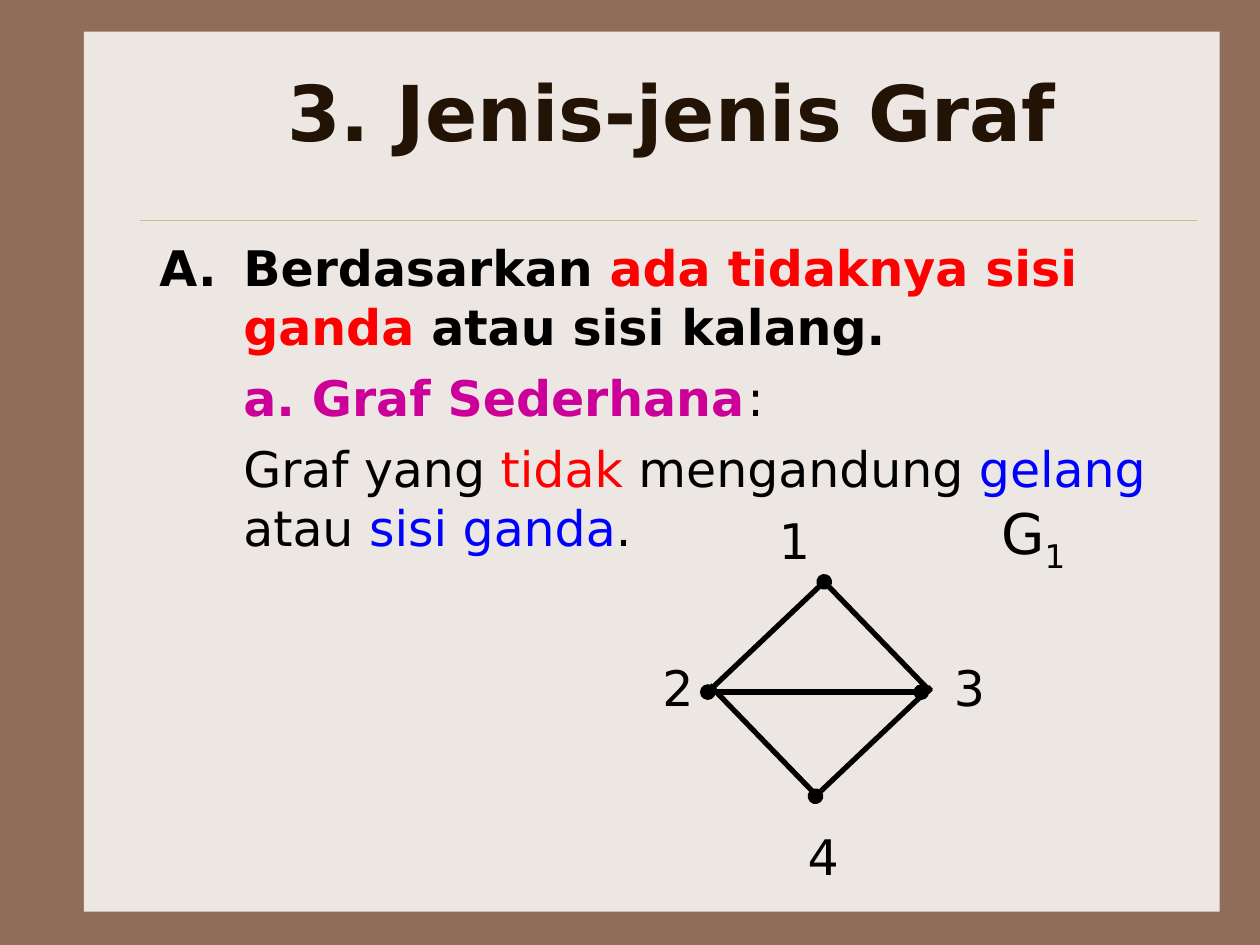
from lxml import etree
from pptx import Presentation
from pptx.dml.color import RGBColor
from pptx.enum.shapes import MSO_CONNECTOR, MSO_SHAPE
from pptx.enum.text import MSO_ANCHOR, MSO_AUTO_SIZE, PP_ALIGN
from pptx.oxml.ns import qn
from pptx.util import Pt

RECTANGLE = MSO_SHAPE.RECTANGLE
STRAIGHT = MSO_CONNECTOR.STRAIGHT
MIDDLE = MSO_ANCHOR.MIDDLE
CENTER = PP_ALIGN.CENTER
GROW = MSO_AUTO_SIZE.SHAPE_TO_FIT_TEXT

FONT = "DejaVu Sans"
BLACK, RED, BLUE, MAGENTA = "000000", "FF0000", "0000FF", "CC0099"
BROWN, PAPER, TITLE_COLOR, RULE_COLOR = "906D58", "EDE7E3", "221304", "CBBD83"

TITLE = "3. Jenis-jenis Graf"
# Runs: text, colour, bold
HEADING = [("Berdasarkan ", BLACK, True), ("ada tidaknya sisi ganda", RED, True),
           (" atau sisi kalang.", BLACK, True)]
SUBHEADING = [("a. Graf Sederhana\t", MAGENTA, True), (":", BLACK, False)]
DEFINITION = [("Graf yang ", BLACK, False), ("tidak", RED, False),
              (" mengandung ", BLACK, False), ("gelang", BLUE, False),
              (" atau ", BLACK, False), ("sisi ganda", BLUE, False),
              (".", BLACK, False)]
BODY_INDENT, COLON_TAB = 48, 288

# Edges: start, end, dot at start, dot at end
EDGES = [
    ((471, 332.5), (404.5, 395.5), False, False),
    ((532, 392.5), (466, 455), False, True),
    ((471, 332.5), (532, 395.5), True, False),
    ((405.5, 391.5), (466.5, 454.5), False, False),
    ((404.5, 395.5), (526.5, 395.5), True, True),
]
# Vertex labels: text, left, top, width
VERTEX_LABELS = [("1", 438, 288, 42), ("2", 371.5, 372, 28),
                 ("3", 538, 372, 33), ("4", 454.5, 468.5, 33)]


def color(hex_code):
    return RGBColor.from_string(hex_code)


def add_run(paragraph, text, size, hex_code=BLACK, bold=False):
    run = paragraph.add_run()
    run.text = text
    run.font.name = FONT
    run.font.size = Pt(size)
    run.font.bold = bold
    run.font.color.rgb = color(hex_code)
    return run


def add_text_box(shapes, left, top, width, height):
    box = shapes.add_textbox(Pt(left), Pt(top), Pt(width), Pt(height))
    box.text_frame.word_wrap = True
    return box.text_frame


def add_line(shapes, start, end, hex_code, width, start_dot=False, end_dot=False):
    line = shapes.add_connector(STRAIGHT, *(Pt(v) for v in (*start, *end)))
    line.line.color.rgb = color(hex_code)
    line.line.width = Pt(width)
    outline = line.line._get_or_add_ln()
    for tag, dotted in (("a:headEnd", start_dot), ("a:tailEnd", end_dot)):
        if dotted:
            etree.SubElement(outline, qn(tag), type="oval")
    etree.SubElement(line._element.spPr, qn("a:effectLst"))


def add_body(shapes):
    frame = add_text_box(shapes, 84, 132, 600, 330)
    for index, runs in enumerate((HEADING, SUBHEADING, DEFINITION)):
        paragraph = frame.add_paragraph() if index else frame.paragraphs[0]
        properties = paragraph._p.get_or_add_pPr()
        properties.set("marL", str(Pt(BODY_INDENT)))
        properties.set("indent", str(0 if index else -Pt(BODY_INDENT)))
        if index:
            paragraph.space_before = Pt(7)
        if runs is HEADING:
            etree.SubElement(properties, qn("a:buFont"), typeface=FONT)
            etree.SubElement(properties, qn("a:buAutoNum"), type="alphaUcPeriod")
        if runs is SUBHEADING:
            tabs = etree.SubElement(properties, qn("a:tabLst"))
            etree.SubElement(tabs, qn("a:tab"), pos=str(Pt(COLON_TAB)), algn="l")
        for text, hex_code, bold in runs:
            add_run(paragraph, text, 28, hex_code, bold)


def add_graph(shapes):
    for start, end, start_dot, end_dot in EDGES:
        add_line(shapes, start, end, BLACK, 3, start_dot, end_dot)
    for text, left, top, width in VERTEX_LABELS:
        frame = add_text_box(shapes, left, top, width, 41)
        frame.auto_size = GROW
        add_run(frame.paragraphs[0], text, 28)
    frame = add_text_box(shapes, 565, 281.5, 66, 51)
    frame.auto_size = GROW
    graph_name = frame.paragraphs[0]
    add_run(graph_name, "G", 32)
    subscript = add_run(graph_name, "1", 32)
    subscript.font._element.set("baseline", "-25000")


def main():
    deck = Presentation()
    deck.slide_width, deck.slide_height = Pt(720), Pt(540)
    slide = deck.slides.add_slide(deck.slide_layouts[5])
    shapes = slide.shapes
    slide.background.fill.solid()
    slide.background.fill.fore_color.rgb = color(BROWN)

    paper = shapes.add_shape(RECTANGLE, Pt(48), Pt(18), Pt(649), Pt(503))
    paper.shadow.inherit = False
    paper.fill.solid()
    paper.fill.fore_color.rgb = color(PAPER)
    paper.line.fill.background()
    add_line(shapes, (80, 126), (684, 126), RULE_COLOR, 0.25)

    title = shapes.title
    title.left, title.top, title.width, title.height = Pt(84), Pt(30), Pt(600), Pt(66)
    title.text_frame.vertical_anchor = MIDDLE
    heading = title.text_frame.paragraphs[0]
    heading.alignment = CENTER
    add_run(heading, TITLE, 44, TITLE_COLOR, True)
    # The title must lie in front of the paper
    shapes._spTree.append(title._element)

    add_body(shapes)
    add_graph(shapes)
    deck.save("out.pptx")


if __name__ == "__main__":
    main()
